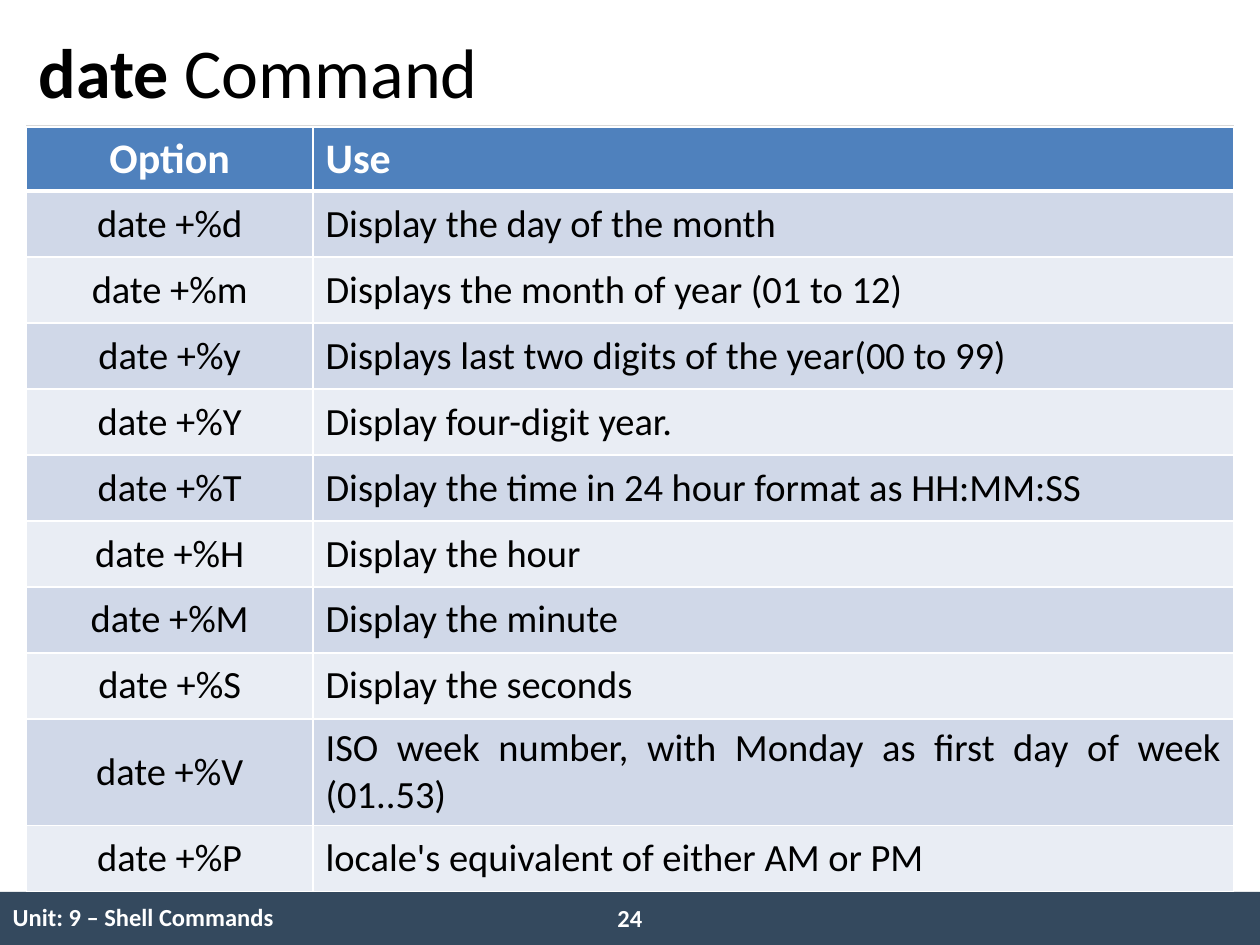
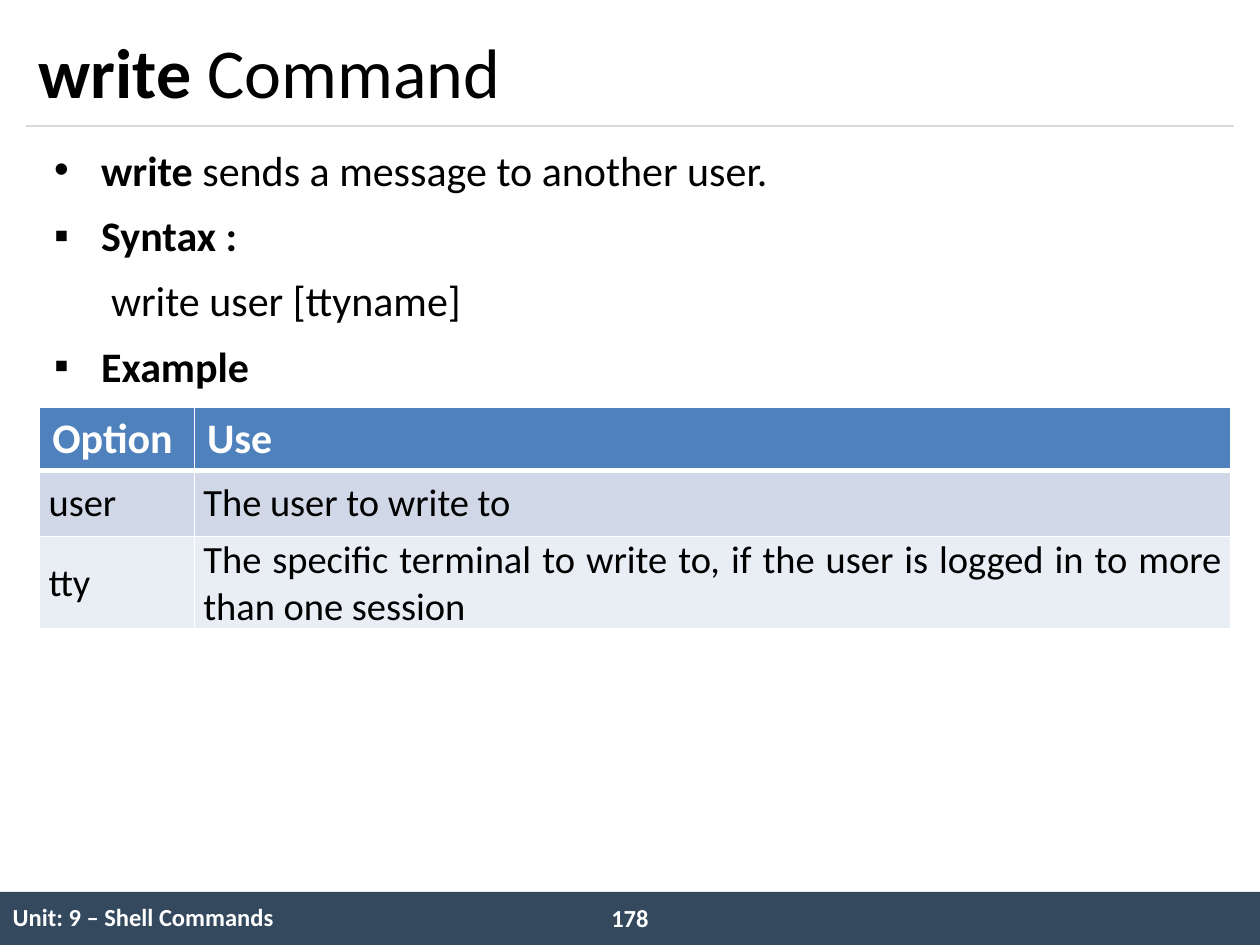
from lxml import etree
from pptx import Presentation
from pptx import util as u
from pptx.dml.color import RGBColor
from pptx.enum import shapes, text
from pptx.oxml import ns

FONT = "Calibri"
BLACK = RGBColor(0x00, 0x00, 0x00)
WHITE = RGBColor(0xFF, 0xFF, 0xFF)
NAVY = RGBColor(0x34, 0x49, 0x5E)
RULE_GREY = RGBColor(0xD9, 0xD9, 0xD9)
HEADER_BLUE = RGBColor(0x4F, 0x81, 0xBD)
BAND_FILLS = (RGBColor(0xD0, 0xD8, 0xE8), RGBColor(0xE9, 0xED, 0xF4))

LEFT, CENTER, JUSTIFY = text.PP_ALIGN.LEFT, text.PP_ALIGN.CENTER, text.PP_ALIGN.JUSTIFY
MIDDLE = text.MSO_ANCHOR.MIDDLE
TITLE_ONLY = 5
UNIT = "Unit: 9 – Shell Commands"

DATE_ROWS = [
    ("Option", "Use"),
    ("date +%d", "Display the day of the month"),
    ("date +%m", "Displays the month of year (01 to 12)"),
    ("date +%y", "Displays last two digits of the year(00 to 99)"),
    ("date +%Y", "Display four-digit year."),
    ("date +%T", "Display the time in 24 hour format as HH:MM:SS"),
    ("date +%H", "Display the hour"),
    ("date +%M", "Display the minute"),
    ("date +%S", "Display the seconds"),
    ("date +%V", "ISO week number, with Monday as first day of week (01..53)"),
    ("date +%P", "locale's equivalent of either AM or PM"),
]
WRITE_ROWS = [
    ("Option", "Use"),
    ("user", "The user to write to"),
    ("tty", "The specific terminal to write to, if the user is logged in "
            "to more than one session"),
]
WRITE_POINTS = [
    ("•", [("write", True), (" sends a message to another user.", False)]),
    ("▪", [("Syntax :", True)]),
    (None, [("write user [ttyname]", False)]),
    ("▪", [("Example", True)]),
]


def write_text(paragraph, content, size=24, color=BLACK, bold=False, align=LEFT):
    paragraph.alignment = align
    run = paragraph.add_run()
    run.text = content
    run.font.name = FONT
    run.font.size = u.Pt(size)
    run.font.bold = bold
    run.font.color.rgb = color


def add_child(parent, tag, **attributes):
    return etree.SubElement(parent, ns.qn(tag), attributes)


def set_borders(cell, top=1, bottom=1, side=1):
    properties = cell._tc.get_or_add_tcPr()
    for tag, width in (("a:lnL", side), ("a:lnR", side), ("a:lnT", top), ("a:lnB", bottom)):
        line = add_child(properties, tag, w=str(u.Pt(width)))
        if width:
            add_child(add_child(line, "a:solidFill"), "a:srgbClr", val=str(WHITE))
        else:
            add_child(line, "a:noFill")


def add_plain_table(slide, left, top, widths, heights):
    frame = slide.shapes.add_table(len(heights), len(widths), u.Cm(left), u.Cm(top),
                                   u.Cm(sum(widths)), u.Cm(sum(heights)))
    table = frame.table
    table.first_row = False
    table.horz_banding = False
    for column, width in zip(table.columns, widths):
        column.width = u.Cm(width)
    for row, height in zip(table.rows, heights):
        row.height = u.Cm(height)
    return table


def add_option_table(slide, left, top, widths, heights, rows, first_aligns, body_margins=None):
    table = add_plain_table(slide, left, top, widths, heights)
    for row_index, row in enumerate(rows):
        header = row_index == 0
        for column_index, content in enumerate(row):
            cell = table.cell(row_index, column_index)
            set_borders(cell, top=3 if row_index == 1 else 1, bottom=3 if header else 1)
            cell.fill.solid()
            cell.fill.fore_color.rgb = HEADER_BLUE if header else BAND_FILLS[(row_index - 1) % 2]
            cell.vertical_anchor = MIDDLE
            if body_margins and not header:
                cell.margin_left = cell.margin_right = u.Cm(body_margins[0])
                cell.margin_top = cell.margin_bottom = u.Cm(body_margins[1])
            align = JUSTIFY if column_index else first_aligns[0 if header else 1]
            write_text(cell.text_frame.paragraphs[0], content, size=24 if header else 22,
                       color=WHITE if header else BLACK, bold=header, align=align)


def add_footer(slide, top, width, height, number):
    band = slide.shapes.add_shape(shapes.MSO_SHAPE.RECTANGLE, 0, u.Cm(top),
                                  u.Cm(width), u.Cm(height))
    band.shadow.inherit = False
    band.fill.solid()
    band.fill.fore_color.rgb = NAVY
    band.line.fill.background()

    table = add_plain_table(slide, 0, top, (12.9, 1.7, width - 14.6), (height,))
    for cell in table.iter_cells():
        set_borders(cell, top=0, bottom=0, side=0)
        cell.fill.background()
        cell.vertical_anchor = MIDDLE
    write_text(table.cell(0, 0).text_frame.paragraphs[0], UNIT, size=14, color=WHITE, bold=True)

    number_width = 1.48
    box = slide.shapes.add_textbox(u.Cm((width - number_width) / 2), u.Cm(top + 0.1),
                                   u.Cm(number_width), u.Cm(0.86))
    box.text_frame.word_wrap = True
    write_text(box.text_frame.paragraphs[0], number, size=14, color=WHITE, bold=True, align=CENTER)


def add_title(slide, left, top, width, height, command):
    title = slide.shapes.title
    title.left, title.top = u.Cm(left), u.Cm(top)
    title.width, title.height = u.Cm(width), u.Cm(height)
    title.text_frame.vertical_anchor = MIDDLE
    paragraph = title.text_frame.paragraphs[0]
    write_text(paragraph, command, size=40, bold=True)
    write_text(paragraph, " Command", size=40)

    bottom = u.Cm(top + height)
    rule = slide.shapes.add_connector(shapes.MSO_CONNECTOR.STRAIGHT, u.Cm(left), bottom,
                                      u.Cm(left + width), bottom)
    rule.line.color.rgb = RULE_GREY
    rule.line.width = u.Pt(0.75)
    add_child(rule._element.spPr, "a:effectLst")


def set_indent(paragraph, bullet):
    properties = paragraph._p.get_or_add_pPr()
    indent = u.Cm(0.95 if bullet else 1.15)
    properties.set("marL", str(indent))
    properties.set("indent", str(-indent if bullet else 0))
    if bullet:
        add_child(properties, "a:buFont", typeface="Arial")
        add_child(properties, "a:buChar", char=bullet)


def add_points(slide, left, top, width, height, points):
    box = slide.shapes.add_textbox(u.Cm(left), u.Cm(top), u.Cm(width), u.Cm(height))
    frame = box.text_frame
    frame.word_wrap = True
    for index, (bullet, parts) in enumerate(points):
        paragraph = frame.add_paragraph() if index else frame.paragraphs[0]
        set_indent(paragraph, bullet)
        paragraph.line_spacing = 1.14
        if index:
            paragraph.space_before = u.Pt(4.5)
        for content, bold in parts:
            write_text(paragraph, content, bold=bold, align=JUSTIFY)


def add_command_slide(presentation, command, number):
    slide = presentation.slides.add_slide(presentation.slide_layouts[TITLE_ONLY])
    add_footer(slide, 17.98, 25.4, 1.07, number)
    add_title(slide, 0.53, 0.3, 24.34, 2.24, command)
    return slide


def main():
    presentation = Presentation()
    presentation.slide_width = u.Cm(25.4)
    presentation.slide_height = u.Cm(19.05)

    date_slide = add_command_slide(presentation, "date", "24")
    date_heights = [1.29] + [1.33] * 8 + [2.15, 1.33]
    add_option_table(date_slide, 0.53, 2.56, (5.78, 18.56), date_heights, DATE_ROWS,
                     (CENTER, CENTER))

    write_slide = add_command_slide(presentation, "write", "178")
    add_points(write_slide, 0.84, 2.64, 24.34, 14.8, WRITE_POINTS)
    add_option_table(write_slide, 0.8, 8.2, (3.12, 20.9), (1.29, 1.33, 1.86), WRITE_ROWS,
                     (LEFT, JUSTIFY), body_margins=(0.18, 0))

    presentation.save("out.pptx")


if __name__ == "__main__":
    main()
